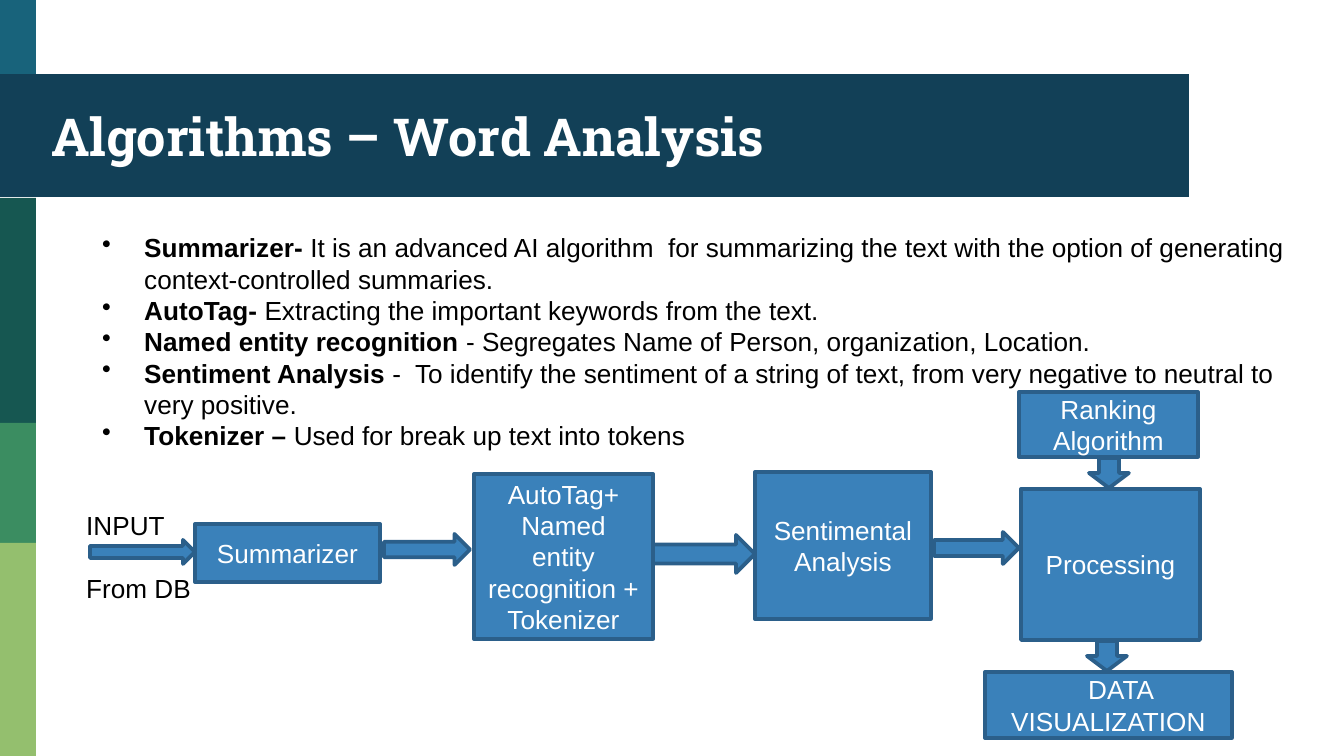
import pptx
import pptx.util
import pptx.dml.color
import pptx.enum.shapes
import pptx.enum.text
import lxml.etree

EMU_PER_PIXEL = 914400 / 134.4
SHAPES = pptx.enum.shapes.MSO_SHAPE
ALIGN = pptx.enum.text.PP_ALIGN
MIDDLE = pptx.enum.text.MSO_ANCHOR.MIDDLE


def px(length):
    return pptx.util.Emu(round(length * EMU_PER_PIXEL))


def color(hex_string):
    return pptx.dml.color.RGBColor.from_string(hex_string)


def set_font(paragraph, hex_string, size=14, name="Arial"):
    paragraph.font.name = name
    paragraph.font.size = pptx.util.Pt(size)
    paragraph.font.color.rgb = color(hex_string)


def set_indent(paragraph, margin, first_line):
    properties = paragraph._p.get_or_add_pPr()
    properties.set("marL", str(px(margin)))
    properties.set("indent", str(px(first_line)))
    return properties


def add_shape(slide, kind, box, fill, outline=None):
    shape = slide.shapes.add_shape(kind, *map(px, box))
    shape.shadow.inherit = False
    shape.fill.solid()
    shape.fill.fore_color.rgb = color(fill)
    if outline:
        shape.line.color.rgb = color(outline)
        shape.line.width = pptx.util.Pt(2)
    else:
        shape.line.fill.background()
    return shape


def add_text_frame(slide, box, wrap=True):
    frame = slide.shapes.add_textbox(*map(px, box)).text_frame
    frame.word_wrap = wrap
    return frame


def add_paragraphs(frame, count):
    return [frame.paragraphs[0]] + [frame.add_paragraph() for _ in range(count - 1)]


def draw_side_strip(slide, box):
    left, top, width, height = box
    bands = [(0, 78, "18637B"), (198, 423, "165751"),
             (423, 543, "3B8D61"), (543, height, "94BF6E")]
    for start, end, fill in bands:
        add_shape(slide, SHAPES.RECTANGLE, (left, top + start, width, end - start), fill)


def draw_title(slide, box):
    left, top, width, height = box
    add_shape(slide, SHAPES.RECTANGLE, box, "124057")
    frame = add_text_frame(slide, (left + 38, top, 899, height))
    frame.vertical_anchor = MIDDLE
    frame.text = "Algorithms – Word Analysis"
    set_font(frame.paragraphs[0], "FFFFFF", 28, "Roboto Slab")
    frame.paragraphs[0].font.bold = True


def draw_algorithm_list(slide, box):
    algorithms = [
        ("Summarizer- ", "It is an advanced AI algorithm  for summarizing the text with "
         "the option of generating context-controlled summaries."),
        ("AutoTag-", " Extracting the important keywords from the text."),
        ("Named entity recognition ",
         "- Segregates Name of Person, organization, Location."),
        ("Sentiment Analysis ", "-  To identify the sentiment of a string of text, "
         "from very negative to neutral to very positive."),
        ("Tokenizer – ", "Used for break up text into tokens"),
    ]
    frame = add_text_frame(slide, box)
    paragraphs = add_paragraphs(frame, len(algorithms))
    for paragraph, (term, description) in zip(paragraphs, algorithms):
        properties = set_indent(paragraph, 42, -42)
        set_font(paragraph, "000000")
        namespace = properties.nsmap["a"]
        bullet = lxml.etree.Element("{%s}buChar" % namespace, char="•")
        properties.insert(0, bullet)
        term_run = paragraph.add_run()
        term_run.text = term
        term_run.font.bold = True
        paragraph.add_run().text = description


def draw_flow(slide, box):
    left, top = box[:2]

    def place(kind, x, y, width, height):
        return add_shape(slide, kind, (left + x, top + y, width, height),
                         "3A81BA", "2B5F8A")

    # Steps
    steps = [
        ((123, 132, 185, 58), ["Summarizer"]),
        ((402, 82, 179, 165), ["AutoTag+ Named entity recognition + Tokenizer"]),
        ((683, 80, 176, 147), ["Sentimental", "Analysis"]),
        ((949, 97, 179, 151), ["Processing"]),
        ((947, 0, 179, 65), ["Ranking Algorithm"]),
        ((913, 280, 247, 66), ["DATA VISUALIZATION"]),
    ]
    for step_box, lines in steps:
        frame = place(SHAPES.RECTANGLE, *step_box).text_frame
        frame.word_wrap = True
        frame.vertical_anchor = MIDDLE
        for paragraph, line in zip(add_paragraphs(frame, len(lines)), lines):
            paragraph.text = line
            paragraph.alignment = ALIGN.CENTER
            set_font(paragraph, "FFFFFF")
    # The last step has its first line shifted right
    set_indent(paragraph, 0, 24)

    # Arrows between the steps
    for arrow_box in [(18, 148, 105, 24), (312, 142, 86, 31),
                      (581, 143, 102, 38), (862, 140, 85, 32)]:
        place(SHAPES.RIGHT_ARROW, *arrow_box)
    for arrow_box in [(1017, 66, 40, 30), (1015, 249, 40, 30)]:
        place(SHAPES.DOWN_ARROW, *arrow_box)

    # Input label, one line above and one below its arrow
    frame = add_text_frame(slide, (left + 1, top + 111, 133, 109), wrap=False)
    for paragraph, line in zip(add_paragraphs(frame, 2), ["INPUT", "From DB"]):
        paragraph.text = line
        set_font(paragraph, "000000")
    paragraph.space_before = pptx.util.Pt(17)


def draw_slide(presentation):
    slide = presentation.slides.add_slide(presentation.slide_layouts[6])
    draw_side_strip(slide, (0, 0, 36, 756))
    draw_title(slide, (0, 74, 1189, 123))
    draw_algorithm_list(slide, (89, 225, 1214, 235))
    draw_flow(slide, (72, 392, 1160, 346))


presentation = pptx.Presentation()
presentation.slide_width = px(1344)
presentation.slide_height = px(756)
draw_slide(presentation)
presentation.save("out.pptx")
